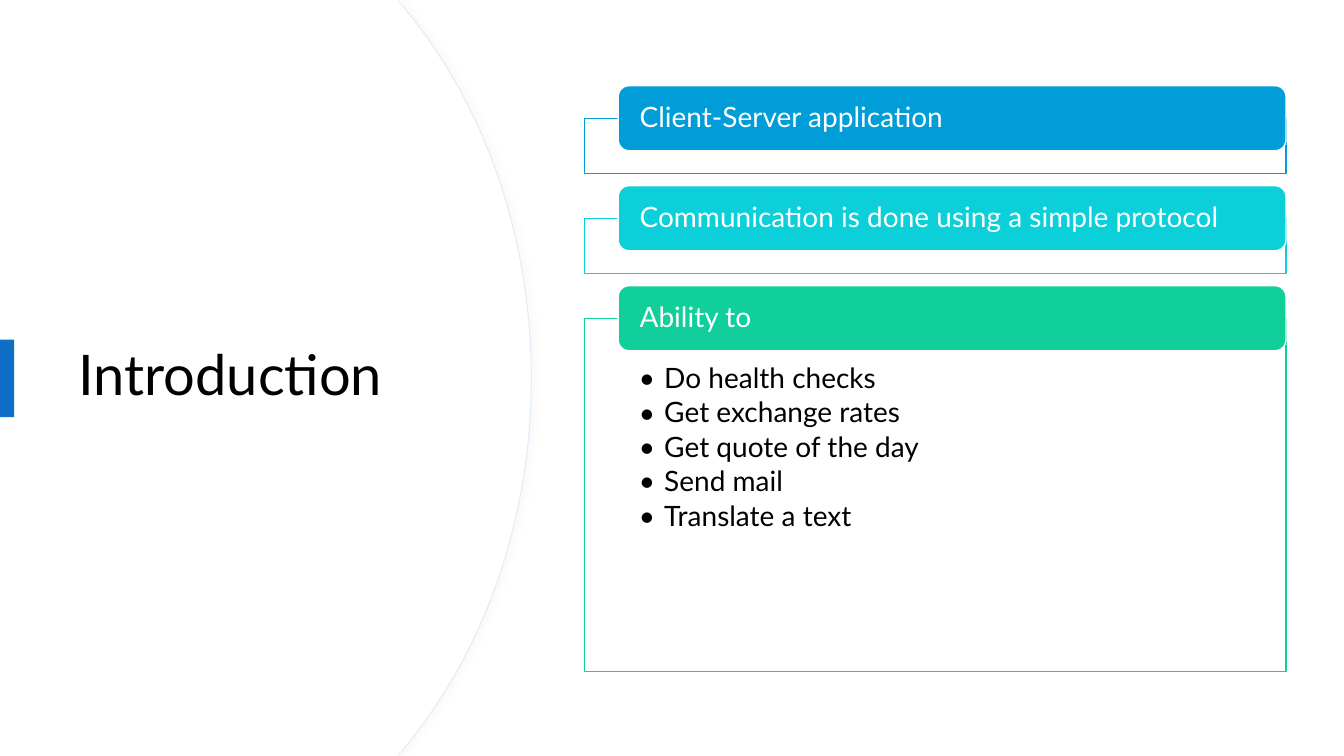
from lxml.etree import SubElement
from pptx import Presentation
from pptx.dml.color import RGBColor
from pptx.enum.shapes import MSO_SHAPE as Preset
from pptx.enum.text import MSO_ANCHOR as Anchor, PP_ALIGN as Align
from pptx.oxml import parse_xml
from pptx.oxml.ns import qn
from pptx.util import Cm, Pt

theme = {
    "font": "Lato",
    "title_size": 40,
    "body_size": 20,
    "text": "000000",
    "white": "FFFFFF",
    "accent": "0F6FC6",
    "curve_line": "E0ECF8",
    "curve_shadow": "D9D9D9",
    "cards": ["009DD9", "0BD0D9", "10CF9B"],
}


def paint(shape, fill, line=None, width=1):
    shape.shadow.inherit = False
    shape.fill.solid()
    shape.fill.fore_color.rgb = RGBColor.from_string(fill)
    if line:
        shape.line.color.rgb = RGBColor.from_string(line)
        shape.line.width = Pt(width)
    else:
        shape.line.fill.background()


def write(shape, lines, size, color, anchor, margins, bullet=False):
    frame = shape.text_frame
    left, top, right, bottom = [Cm(margin) for margin in margins]
    frame_format = {
        "word_wrap": True, "vertical_anchor": anchor,
        "margin_left": left, "margin_top": top,
        "margin_right": right, "margin_bottom": bottom,
    }
    for name, value in frame_format.items():
        setattr(frame, name, value)
    frame.text = "\n".join(lines)
    for paragraph in frame.paragraphs:
        paragraph_format = {
            "alignment": Align.LEFT, "line_spacing": 0.9,
            "space_after": Pt(3 if bullet else 0),
        }
        for name, value in paragraph_format.items():
            setattr(paragraph, name, value)
        font = paragraph.runs[0].font
        font.name, font.size = theme["font"], Pt(size)
        font.color.rgb = RGBColor.from_string(color)
        if bullet:
            properties = paragraph._p.get_or_add_pPr()
            properties.set("marL", str(Cm(0.64)))
            properties.set("indent", str(-Cm(0.64)))
            SubElement(properties, qn("a:buFont")).set("typeface", theme["font"])
            SubElement(properties, qn("a:buChar")).set("char", "•")


presentation = Presentation()
presentation.slide_width, presentation.slide_height = Cm(33.87), Cm(19.05)
slide = presentation.slides.add_slide(presentation.slide_layouts[6])
shapes = slide.shapes

backdrop = shapes.add_shape(Preset.RECTANGLE, 0, 0,
                            presentation.slide_width, presentation.slide_height)
paint(backdrop, theme["white"])

height = 19.05
curve_layers = [(13.39, theme["curve_line"]), (13.36, None)]
for right_edge, line in curve_layers:
    shoulder = right_edge - 3.2
    outline = [(10.01, 0), (shoulder, 0.2), (right_edge, height / 2),
               (shoulder, height - 0.2), (10.01, height), (0, height)]
    builder = shapes.build_freeform(0, 0, scale=1.0)
    builder.add_line_segments([(Cm(x), Cm(y)) for x, y in outline], close=True)
    curve = builder.convert_to_shape()
    paint(curve, theme["white"], line, 0.75)

    upper_controls = [(right_edge - 1.22, 2.59), (right_edge, 5.89)]
    lower_controls = [(x, height - y) for x, y in reversed(upper_controls)]
    segments = list(curve._element.iter(qn("a:lnTo")))
    for segment, controls in zip(segments[2:4], [upper_controls, lower_controls]):
        segment.tag = qn("a:cubicBezTo")
        for position, (x, y) in enumerate(controls):
            point = SubElement(segment, qn("a:pt"))
            point.set("x", str(Cm(x)))
            point.set("y", str(Cm(y)))
            segment.insert(position, point)

    if line:
        effects = curve._element.spPr.find(qn("a:effectLst"))
        effects.append(parse_xml(
            '<a:outerShdw xmlns:a="http://schemas.openxmlformats.org/drawingml/2006/main" '
            f'blurRad="{Pt(4)}" dist="{Pt(3)}" dir="0" algn="l" rotWithShape="0">'
            f'<a:srgbClr val="{theme["curve_shadow"]}"><a:alpha val="12000"/></a:srgbClr>'
            '</a:outerShdw>'))

title = shapes.add_textbox(Cm(1.73), Cm(3.23), Cm(10), Cm(12.57))
write(title, ["Introduction"], theme["title_size"], theme["text"],
      Anchor.MIDDLE, (0.25, 0.13, 0.25, 0.13))

marker = shapes.add_shape(Preset.RECTANGLE, 0, Cm(8.56), Cm(0.36), Cm(1.95))
paint(marker, theme["accent"])

cards = [
    ("Client-Server application", []),
    ("Communication is done using a simple protocol", []),
    ("Ability to", ["Do health checks", "Get exchange rates", "Get quote of the day",
                    "Send mail", "Translate a text"]),
]
first_top, pitch = 2.16, 2.52
for index, ((heading, items), color) in enumerate(zip(cards, theme["cards"])):
    top = first_top + index * pitch
    panel = shapes.add_shape(Preset.RECTANGLE, Cm(14.73), Cm(top + 0.82),
                             Cm(17.68), Cm(8.9 if items else 1.4))
    paint(panel, theme["white"], color)
    if items:
        write(panel, items, theme["body_size"], theme["text"],
              Anchor.TOP, (1.37, 1.16, 1.37, 0.41), bullet=True)
    header = shapes.add_shape(Preset.ROUNDED_RECTANGLE, Cm(15.58), Cm(top),
                              Cm(16.83), Cm(1.64))
    paint(header, color, theme["white"])
    write(header, [heading], theme["body_size"], theme["white"],
          Anchor.MIDDLE, (0.46, 0, 0.46, 0))

presentation.save("out.pptx")
